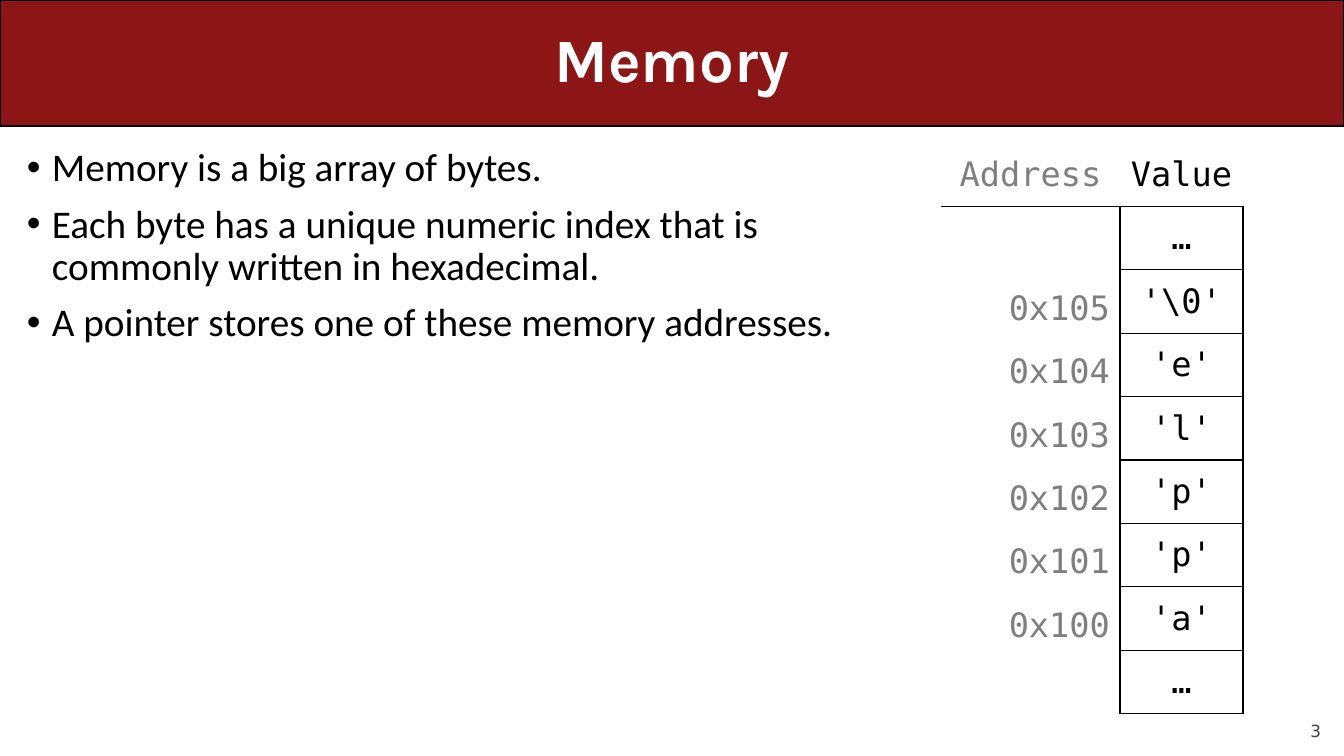
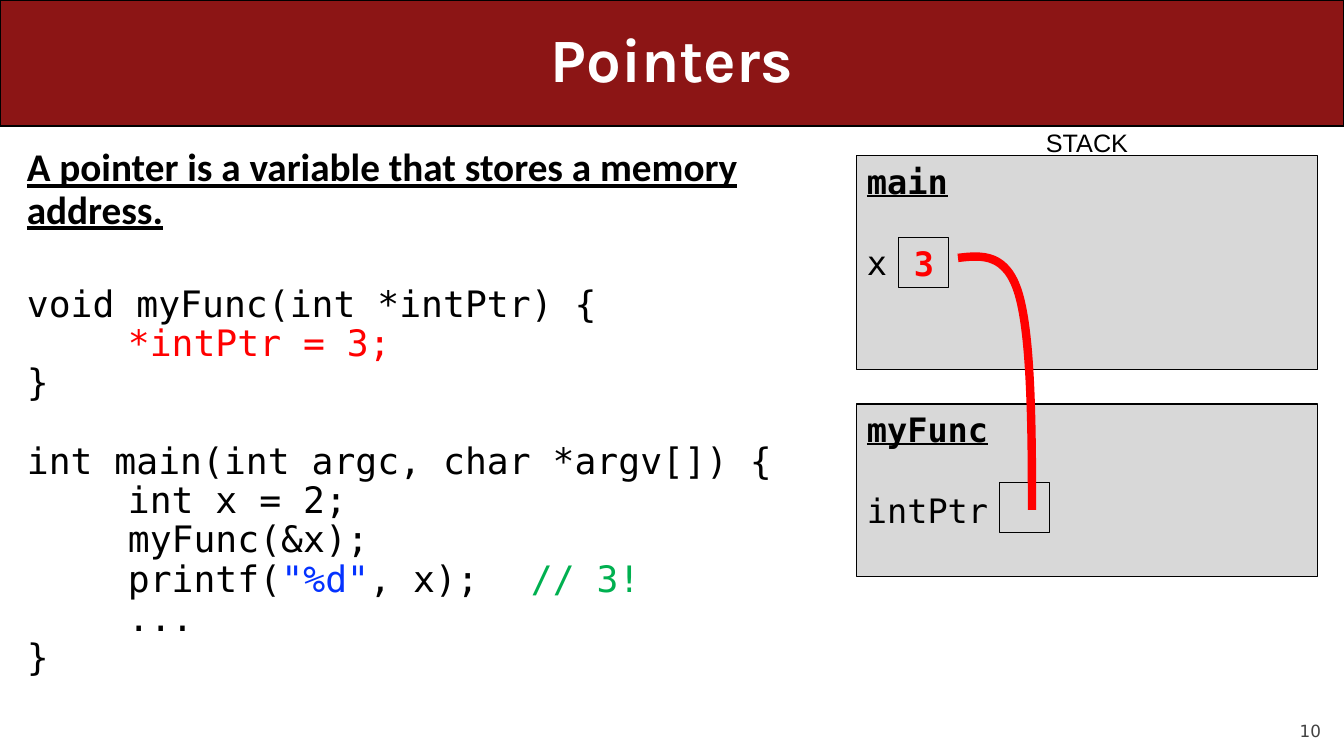
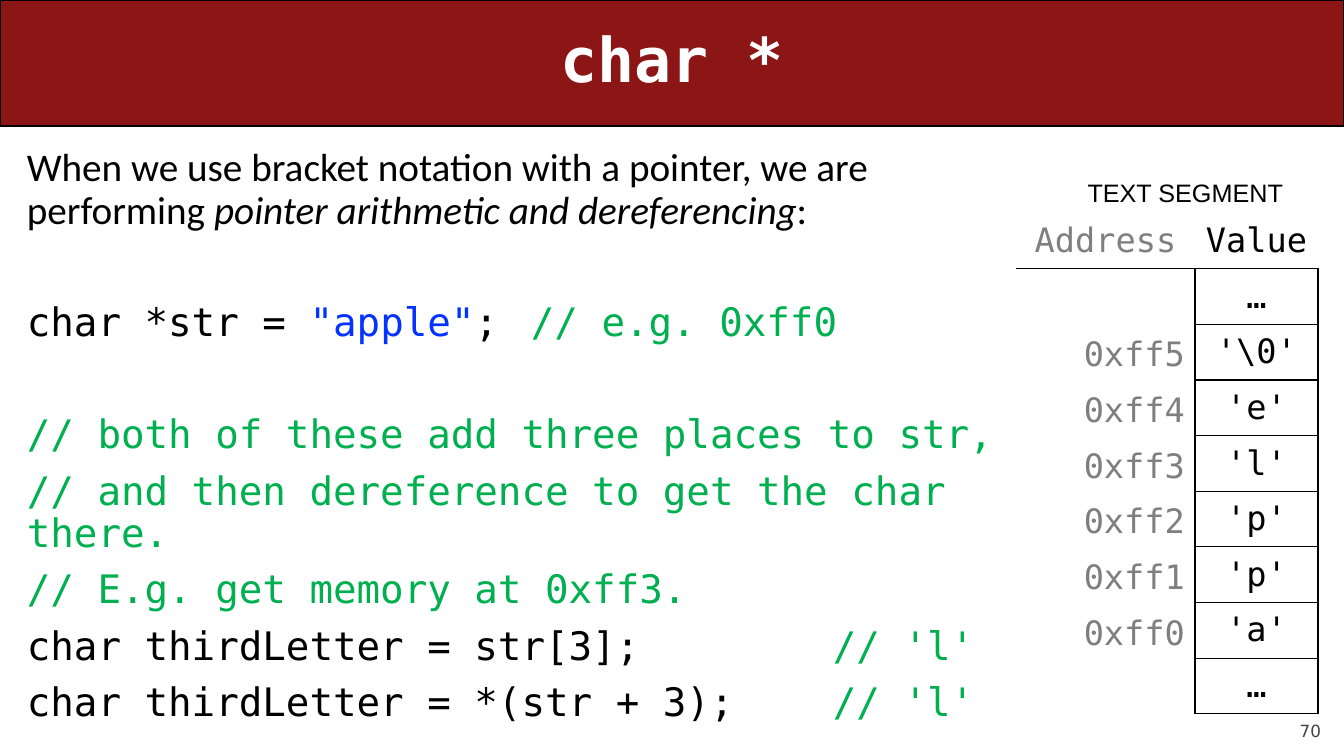
from itertools import product

from lxml.etree import SubElement
from pptx import Presentation
from pptx.dml.color import RGBColor
from pptx.enum.shapes import MSO_SHAPE
from pptx.enum.text import MSO_ANCHOR, PP_ALIGN
from pptx.oxml.ns import qn
from pptx.util import Pt

SLIDE_WIDTH, SLIDE_HEIGHT = 1344, 756
SCALE = 12192000 / SLIDE_WIDTH

BLACK, WHITE, RED = "000000", "FFFFFF", "FF0000"
CARDINAL, PANEL_GRAY, ADDRESS_GRAY, NUMBER_GRAY = "8C1515", "D8D8D8", "7F7F7F", "424242"
STRING_BLUE, COMMENT_GREEN = "0432FF", "00B050"
MONO = "DejaVu Sans Mono"

TITLE = {"name": "Karla", "size": 44, "bold": True, "color": WHITE}
MONO_TITLE = {**TITLE, "name": MONO}
NUMBER = {"name": "DejaVu Sans", "size": 12, "color": NUMBER_GRAY}
BODY = {"name": "Calibri", "size": 28, "color": BLACK}
CODE = {"name": MONO, "size": 26, "color": BLACK}
LARGE_CODE = {**CODE, "size": 28}
CELL = {"name": MONO, "size": 24, "color": BLACK}
LABEL = {"name": "Arial", "size": 18, "color": BLACK}
STRONG = {"bold": True, "underline": True}
STRING, COMMENT, CHANGED = ({"color": c} for c in (STRING_BLUE, COMMENT_GREEN, RED))

TAB_STOPS = (101, 504, 806)
BULLET_INDENT = 25
BODY_LEFT, BODY_TOP = 17, 143

MEMORY_POINTS = [
    "Memory is a big array of bytes.",
    "Each byte has a unique numeric index that is commonly written in hexadecimal.",
    "A pointer stores one of these memory addresses.",
]

POINTER_TEXT = [
    (0, {**BODY, **STRONG}, [("A pointer is a variable that stores a memory address.", {})]),
    (38, CODE, [("void myFunc(int *intPtr) {", {})]),
    (0, CODE, [("\t*intPtr = 3;", CHANGED)]),
    (0, CODE, [("}", {})]),
    (28, CODE, [("int main(int argc, char *argv[]) {", {})]),
    (0, CODE, [("\tint x = 2;", {})]),
    (0, CODE, [("\tmyFunc(&x);", {})]),
    (0, CODE, [("\tprintf(", {}), ('"%d"', STRING), (", x);\t", {}), ("// 3!", COMMENT)]),
    (0, CODE, [("\t...", {})]),
    (0, CODE, [("}", {})]),
]

BRACKET_TEXT = [
    (0, BODY, [
        ("When we use bracket notation with a pointer, we are performing", {}),
        (" pointer arithmetic and dereferencing", {"italic": True}),
        (":", {}),
    ]),
    (50, LARGE_CODE, [
        ("char *str = ", {}), ('"apple"', STRING), (";\t", {}), ("// e.g. 0xff0", COMMENT),
    ]),
    (50, LARGE_CODE, [("// both of these add three places to str,", COMMENT)]),
    (10, LARGE_CODE, [("// and then dereference to get the char there.", COMMENT)]),
    (10, LARGE_CODE, [("// E.g. get memory at 0xff3.", COMMENT)]),
    (10, LARGE_CODE, [("char thirdLetter = str[3];\t", {}), ("// 'l'", COMMENT)]),
    (10, LARGE_CODE, [("char thirdLetter = *(str + 3);\t", {}), ("// 'l'", COMMENT)]),
]

STACK_FRAMES = [
    ("main", "x", (857, 156, 461, 214)),
    ("myFunc", "intPtr", (857, 404, 461, 173)),
]
VARIABLE_BOXES = [("3", (899, 238, 50, 50)), ("", (1000, 483, 50, 50))]
POINTER_CURVE = [
    (1032, 510), (1032, 423), (1031, 337), (1019, 295), (1007, 253), (982, 255), (958, 258),
]

MEMORY_VALUES = ["…", "'\\0'", "'e'", "'l'", "'p'", "'p'", "'a'", "…"]
MEMORY_COLUMNS = (179, 123)
MEMORY_BOTTOM = 714


def px(length):
    return round(length * SCALE)


def colour(value):
    return RGBColor.from_string(value)


def write(frame, paras, align=PP_ALIGN.LEFT, anchor=MSO_ANCHOR.TOP, spacing=None, bullet=False):
    frame.word_wrap = True
    frame.vertical_anchor = anchor
    for index, (before, base, spans) in enumerate(paras):
        para = frame.add_paragraph() if index else frame.paragraphs[0]
        properties = para._p.get_or_add_pPr()
        if bullet:
            properties.set("marL", str(px(BULLET_INDENT)))
            properties.set("indent", str(-px(BULLET_INDENT)))
            SubElement(properties, qn("a:buFont"), typeface="Arial")
            SubElement(properties, qn("a:buChar"), char="•")
        if any("\t" in text for text, _ in spans):
            stops = SubElement(properties, qn("a:tabLst"))
            for stop in TAB_STOPS:
                SubElement(stops, qn("a:tab"), pos=str(px(stop)), algn="l")
        para.alignment = align
        if spacing:
            para.line_spacing = spacing
        if index:
            para.space_before = Pt(before)
        for text, change in spans:
            span = para.add_run()
            span.text = text
            for name, value in {**base, **change}.items():
                if name == "color":
                    span.font.color.rgb = colour(value)
                else:
                    setattr(span.font, name, Pt(value) if name == "size" else value)


def line(text, style):
    return [(0, style, [(text, {})])]


def add_text(page, area, paras, **layout):
    box = page.shapes.add_textbox(*map(px, area))
    write(box.text_frame, paras, **layout)
    return box


def paint(shape, fill=None, stroke=BLACK, width=0.75):
    shape.shadow.inherit = False
    if fill:
        shape.fill.solid()
        shape.fill.fore_color.rgb = colour(fill)
    else:
        shape.fill.background()
    shape.line.color.rgb = colour(stroke)
    shape.line.width = Pt(width)


def add_box(page, area, fill=None, kind=MSO_SHAPE.RECTANGLE):
    box = page.shapes.add_shape(kind, *map(px, area))
    paint(box, fill)
    return box


def add_page(deck, title, number, title_style=TITLE):
    page = deck.slides.add_slide(deck.slide_layouts[6])
    band = add_box(page, (0, 0, SLIDE_WIDTH, 126), CARDINAL, MSO_SHAPE.ROUNDED_RECTANGLE)
    band.adjustments[0] = 0
    write(band.text_frame, line(title, title_style), align=PP_ALIGN.CENTER,
          anchor=MSO_ANCHOR.MIDDLE, spacing=0.9)
    footer = add_text(page, (1210, 701, 111, 40), line(str(number), NUMBER),
                      align=PP_ALIGN.RIGHT, anchor=MSO_ANCHOR.BOTTOM)
    for side in ("left", "top", "right", "bottom"):
        setattr(footer.text_frame, f"margin_{side}", 0)
    return page


def set_borders(cell, sides):
    properties = cell._tc.get_or_add_tcPr()
    for side in "LRTB":
        border = SubElement(properties, qn(f"a:ln{side}"), w=str(Pt(1)))
        if side in sides:
            fill = SubElement(border, qn("a:solidFill"))
            SubElement(fill, qn("a:srgbClr"), val=BLACK)
        else:
            SubElement(border, qn("a:noFill"))


def add_memory(page, left, top, first_address):
    last = len(MEMORY_VALUES) - 1
    addresses = [f"0x{first_address + last - 1 - row:x}" if 0 < row < last else ""
                 for row in range(last + 1)]
    rows = [("Address", "Value"), *zip(addresses, MEMORY_VALUES)]
    area = (left, top, sum(MEMORY_COLUMNS), MEMORY_BOTTOM - top)
    table = page.shapes.add_table(len(rows), 2, *map(px, area)).table
    table.first_row = table.horz_banding = False
    for column, width in zip(table.columns, MEMORY_COLUMNS):
        column.width = px(width)
    for row in table.rows:
        row.height = px((MEMORY_BOTTOM - top) / len(rows))
    for row, column in product(range(len(rows)), range(2)):
        cell = table.cell(row, column)
        is_address = column == 0
        if row == 0:
            sides = "B"
        elif is_address:
            sides = "RT" if row == 1 else "R"
        else:
            sides = "LRTB"
        set_borders(cell, sides)
        cell.fill.background()
        in_list = is_address and row > 0
        cell.vertical_anchor = MSO_ANCHOR.BOTTOM if in_list else MSO_ANCHOR.MIDDLE
        style = {**CELL, "color": ADDRESS_GRAY} if is_address else CELL
        if rows[row][column]:
            write(cell.text_frame, line(rows[row][column], style),
                  align=PP_ALIGN.RIGHT if in_list else PP_ALIGN.CENTER,
                  anchor=None)


def add_curve(page, points):
    start, *rest = [(px(x), px(y)) for x, y in points]
    builder = page.shapes.build_freeform(*start)
    builder.add_line_segments(rest, close=False)
    curve = builder.convert_to_shape()
    paint(curve, stroke=RED, width=6)
    outline = curve._element.find(".//" + qn("a:path"))
    segments = outline.findall(qn("a:lnTo"))
    for first in range(0, len(segments), 3):
        bezier = SubElement(outline, qn("a:cubicBezTo"))
        for segment in segments[first:first + 3]:
            bezier.append(segment[0])
            outline.remove(segment)


def add_memory_page(deck):
    page = add_page(deck, "Memory", 3)
    paras = [(10, BODY, [(point, {})]) for point in MEMORY_POINTS]
    add_text(page, (BODY_LEFT, BODY_TOP, 890, 571), paras, spacing=0.9, bullet=True)
    add_memory(page, 941, 143, 0x100)


def add_pointers_page(deck):
    page = add_page(deck, "Pointers", 10)
    add_text(page, (BODY_LEFT, BODY_TOP, 768, 597), POINTER_TEXT, spacing=0.9)
    for function, variable, area in STACK_FRAMES:
        panel = add_box(page, area, PANEL_GRAY)
        write(panel.text_frame, [(0, CELL, [(function, STRONG)]), (29, CELL, [(variable, {})])])
    for value, area in VARIABLE_BOXES:
        box = add_box(page, area)
        if value:
            write(box.text_frame, line(value, {**CELL, "bold": True, "color": RED}),
                  align=PP_ALIGN.CENTER)
    add_curve(page, POINTER_CURVE)
    add_text(page, (1018, 122, 120, 40), line("STACK", LABEL), align=PP_ALIGN.RIGHT)


def add_char_page(deck):
    page = add_page(deck, "char *", 70, MONO_TITLE)
    add_text(page, (BODY_LEFT, BODY_TOP, 1016, 571), BRACKET_TEXT, spacing=0.9)
    add_memory(page, 1016, 213, 0xff0)
    add_text(page, (1053, 172, 240, 40), line("TEXT SEGMENT", LABEL), align=PP_ALIGN.RIGHT)


def main():
    deck = Presentation()
    deck.slide_width, deck.slide_height = px(SLIDE_WIDTH), px(SLIDE_HEIGHT)
    add_memory_page(deck)
    add_pointers_page(deck)
    add_char_page(deck)
    deck.save("out.pptx")


if __name__ == "__main__":
    main()
